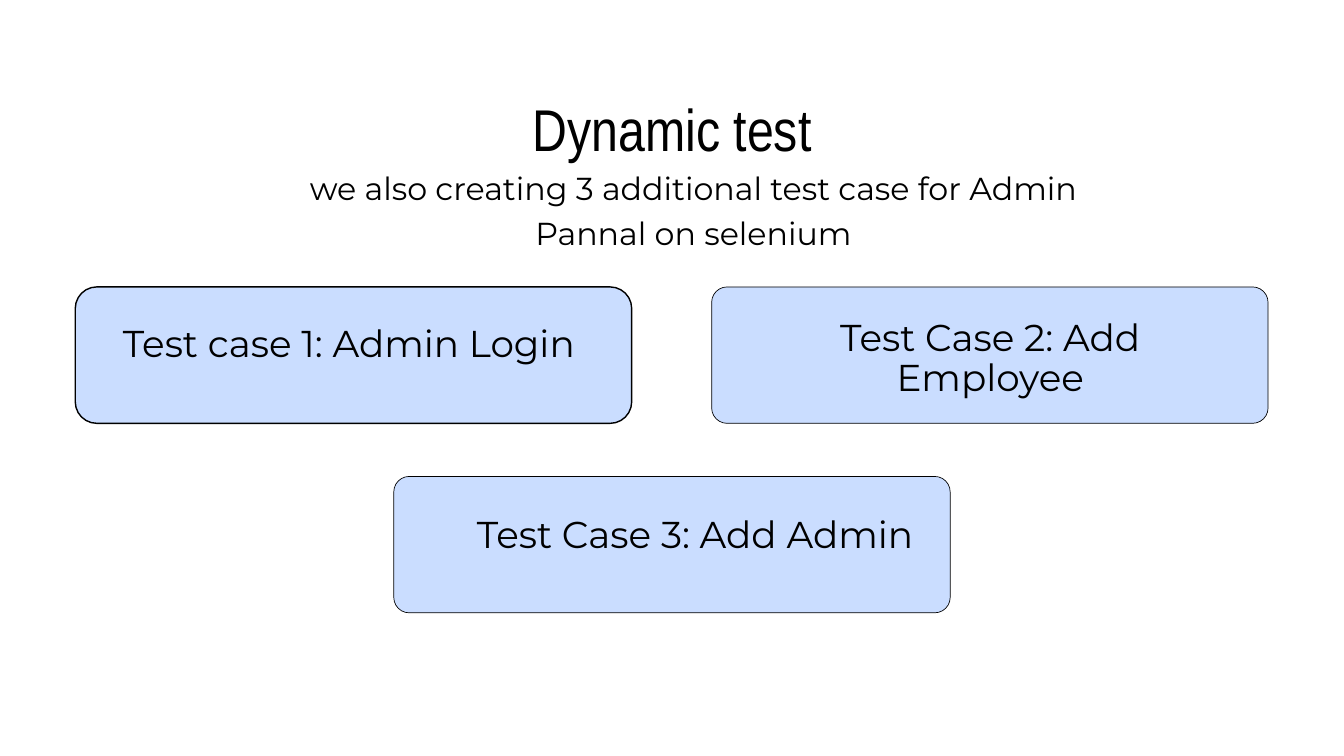
from pptx import Presentation
from pptx import util as u
from pptx.dml.color import RGBColor
from pptx.enum import shapes, text

PX = 9144  # EMU per px, 100 px to the inch
CARD_W, CARD_H = 828, 203


def px(*lengths):
    return [u.Emu(n * PX) for n in lengths]


def color(hex_string):
    return RGBColor.from_string(hex_string)


def add_text(slide, box, content, font="Montserrat", size=40, leading=42.4, fill="000000"):
    tf = slide.shapes.add_textbox(*px(*box)).text_frame
    tf.word_wrap = True
    tf.margin_left = tf.margin_top = tf.margin_right = tf.margin_bottom = 0
    p = tf.paragraphs[0]
    p.alignment = text.PP_ALIGN.CENTER
    p.line_spacing = u.Pt(leading)
    r = p.add_run()
    r.text = content
    r.font.name = font
    r.font.size = u.Pt(size)
    r.font.color.rgb = color(fill)


def add_card(slide, left, top, radius, line_width):
    sp = slide.shapes.add_shape(shapes.MSO_SHAPE.ROUNDED_RECTANGLE,
                                *px(left, top, CARD_W, CARD_H))
    sp.adjustments[0] = radius / CARD_H
    sp.shadow.inherit = False
    sp.fill.solid()
    sp.fill.fore_color.rgb = color("CADDFF")
    sp.line.color.rgb = color("000000")
    sp.line.width = u.Pt(line_width)


def main():
    prs = Presentation()
    prs.slide_width, prs.slide_height = px(2000, 1125)
    s = prs.slides.add_slide(prs.slide_layouts[6])

    # Heading
    add_text(s, (509, 155, 982, 95), "Dynamic test",
             font="Arial Narrow", size=63.1, leading=63.8)

    # Test case cards: position, corner radius, line width, label box, label
    cards = [
        (112, 427, 32, 1.5, (162, 484, 729, 146), "Test case 1: Admin Login "),
        (1059, 427, 23, 0.75, (1109, 476, 729, 178), "Test Case 2: Add Employee"),
        (586, 709, 23, 0.75, (681, 769, 707, 119), "Test Case 3: Add Admin"),
    ]
    for left, top, radius, line_width, label_box, label in cards:
        add_card(s, left, top, radius, line_width)
        add_text(s, label_box, label)

    # Introduction
    add_text(s, (444, 242, 1176, 195),
             "we also creating 3 additional test case for Admin Pannal on selenium",
             size=34, leading=47.6)

    prs.save("out.pptx")


if __name__ == "__main__":
    main()
